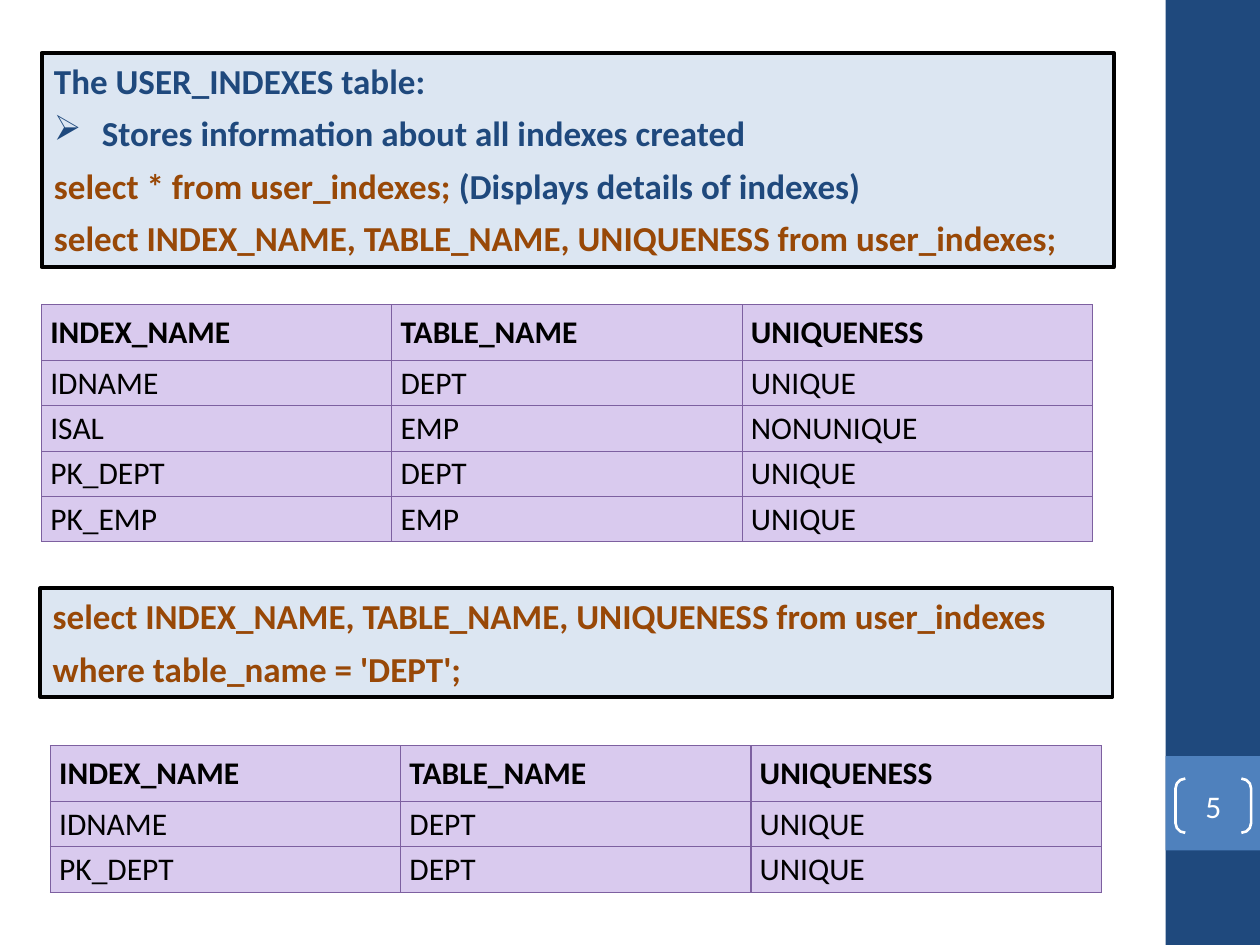
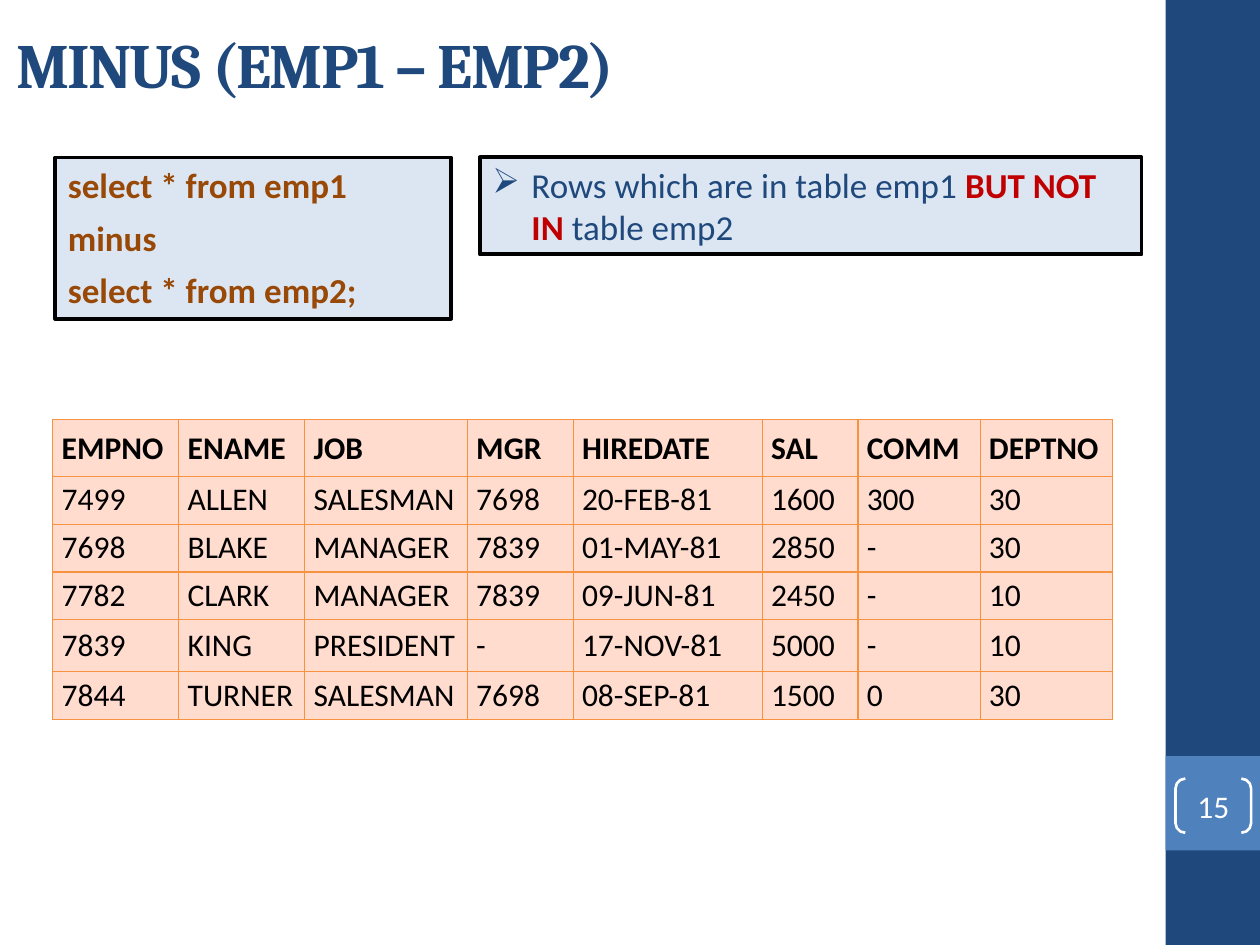
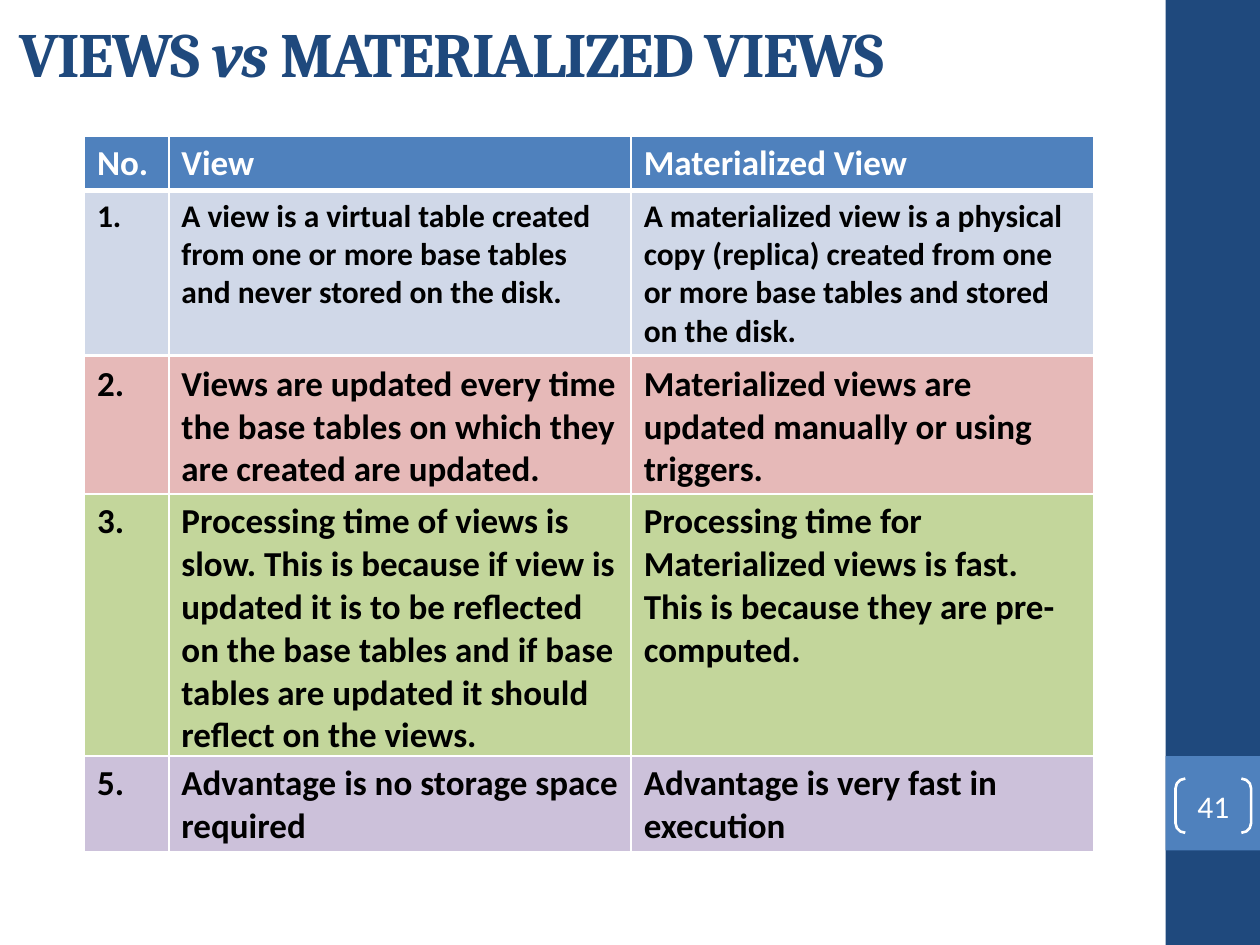
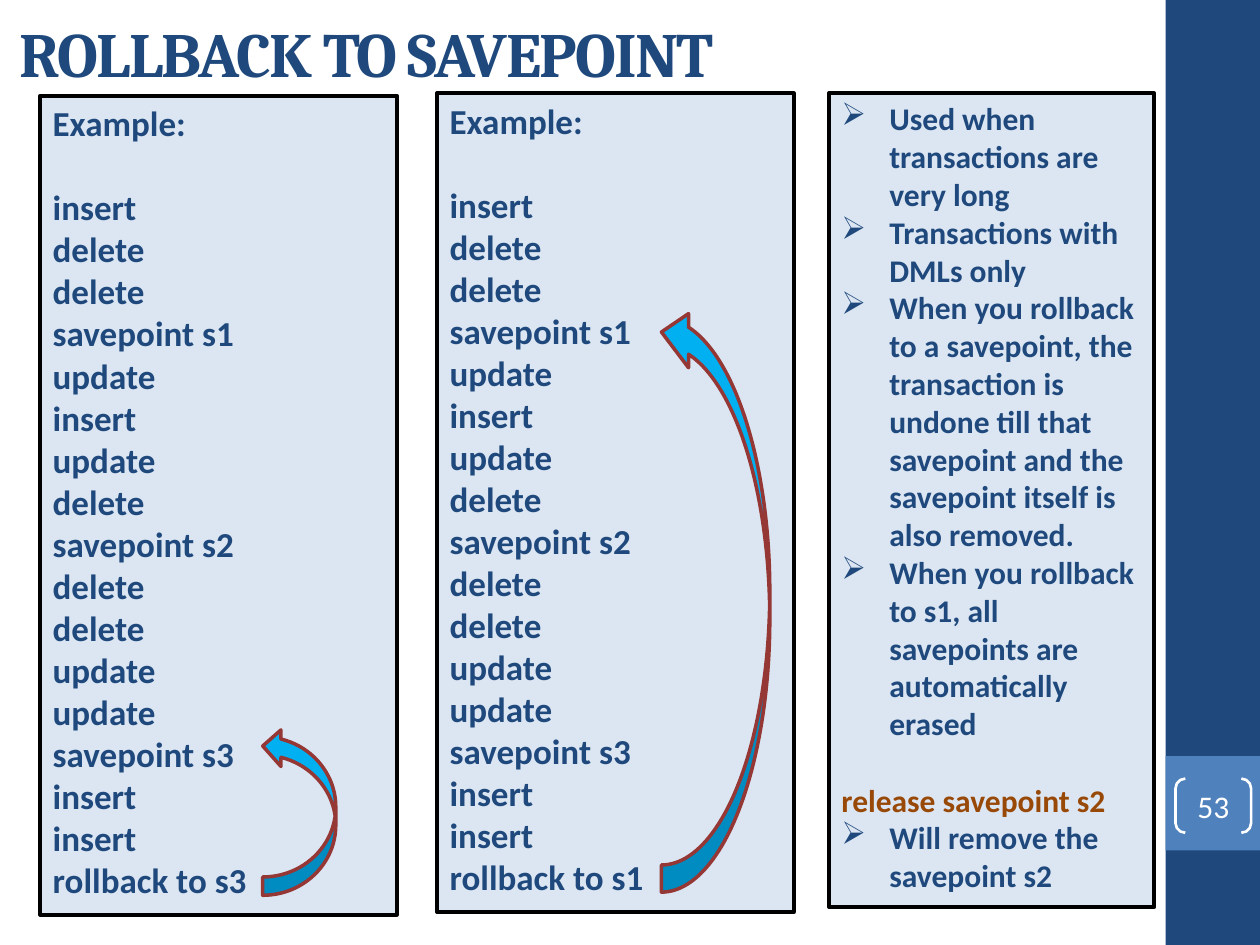
from dataclasses import dataclass, field

from lxml import etree
from pptx import Presentation
from pptx.dml.color import RGBColor
from pptx.enum.shapes import MSO_SHAPE as SHAPE
from pptx.enum.text import MSO_ANCHOR as ANCHOR, MSO_AUTO_SIZE as AUTO, PP_ALIGN as ALIGN
from pptx.oxml.ns import qn
from pptx.util import Inches, Pt


# Colours, fonts and type sizes
@dataclass(frozen=True)
class Theme:
    navy: str = "1F497D"
    blue: str = "4F81BD"
    pale: str = "DCE6F2"
    brown: str = "984807"
    red: str = "C00000"
    white: str = "FFFFFF"
    black: str = "000000"
    purple: str = "7D60A0"
    lilac: str = "D9CAEE"
    orange: str = "F69240"
    peach: str = "FFDCCE"
    ice: str = "D0D8E8"
    pink: str = "E6B9B8"
    green: str = "C3D69B"
    mauve: str = "CCC1DA"
    cyan: str = "00B0F0"
    maroon: str = "953735"
    heading: str = "Cambria"
    body: str = "Calibri"
    title_size: int = 36
    text_size: int = 20
    small_size: int = 18


T = Theme()


@dataclass
class Run:
    text: str
    style: dict = field(default_factory=dict)


@dataclass
class Para:
    runs: list
    color: str = T.navy
    bold: bool = True
    indent: float = 0
    before: float = 0


# Formatting helpers
def rgb(color):
    return RGBColor.from_string(color)


def set_font(font, name=None, size=None, color=None, bold=None, italic=None):
    if name:
        font.name = name
    if size:
        font.size = Pt(size)
    if color:
        font.color.rgb = rgb(color)
    if bold is not None:
        font.bold = bold
    if italic is not None:
        font.italic = italic


def set_margins(frame, left, top):
    frame.margin_left = frame.margin_right = Inches(left)
    frame.margin_top = frame.margin_bottom = Inches(top)


def set_borders(cell, color, widths):
    """Draw the left, right, top and bottom edges of a cell."""
    tc_pr = cell._tc.get_or_add_tcPr()
    for i, (side, width) in enumerate(zip("LRTB", widths)):
        ln = etree.Element(qn(f"a:ln{side}"), w=str(Pt(width)))
        fill = etree.SubElement(ln, qn("a:solidFill"))
        etree.SubElement(fill, qn("a:srgbClr"), val=color)
        tc_pr.insert(i, ln)


# Slide elements
class Deck:
    def __init__(self):
        self.prs = Presentation()
        self.prs.slide_width, self.prs.slide_height = Inches(10), Inches(7.5)
        self.s = None

    def slide(self, number, title=None, at=(0.06, 0.08, 8.95, 0.67)):
        self.s = self.prs.slides.add_slide(self.prs.slide_layouts[6])
        self.shape(SHAPE.RECTANGLE, (9.25, 0, 0.75, 7.5), T.navy)
        self.shape(SHAPE.RECTANGLE, (9.25, 6, 0.75, 0.75), T.blue)
        sp = self.shape(SHAPE.DOUBLE_BRACKET, (9.33, 6.18, 0.6, 0.43), line=T.white, width=1.5)
        sp.adjustments[0] = 0.18
        tf = sp.text_frame
        set_margins(tf, 0, 0)
        tf.vertical_anchor = ANCHOR.MIDDLE
        p = tf.paragraphs[0]
        p.text, p.alignment = str(number), ALIGN.CENTER
        set_font(p.font, T.body, T.small_size, T.white)
        if title:
            self.title(title, at)

    def title(self, runs, at):
        tf = self.s.shapes.add_textbox(*map(Inches, at)).text_frame
        tf.word_wrap, tf.vertical_anchor = True, ANCHOR.MIDDLE
        p = tf.paragraphs[0]
        set_font(p.font, T.heading, T.title_size, T.navy, True)
        self.add_runs(p, runs)
        for r in p.runs:
            r._r.get_or_add_rPr().set("spc", "-100")

    def add_runs(self, p, runs):
        for run in runs:
            r = p.add_run()
            r.text = run.text
            set_font(r.font, **run.style)

    def shape(self, kind, at, fill=None, line=None, width=1.0, rotation=0):
        sp = self.s.shapes.add_shape(kind, *map(Inches, at))
        sp.shadow.inherit = False
        sp.rotation = rotation
        if fill:
            sp.fill.solid()
            sp.fill.fore_color.rgb = rgb(fill)
        else:
            sp.fill.background()
        if line:
            sp.line.color.rgb, sp.line.width = rgb(line), Pt(width)
        else:
            sp.line.fill.background()
        return sp

    def box(self, at, paras, size=T.text_size):
        sp = self.shape(SHAPE.RECTANGLE, at, T.pale, T.black, 2.25)
        tf = sp.text_frame
        tf.word_wrap, tf.vertical_anchor = True, ANCHOR.TOP
        tf.auto_size = AUTO.SHAPE_TO_FIT_TEXT
        for i, para in enumerate(paras):
            p = tf.add_paragraph() if i else tf.paragraphs[0]
            p.alignment = ALIGN.LEFT
            if para.indent:
                self.bullet(p, para.indent)
            if i and para.before:
                p.space_before = Pt(para.before)
            set_font(p.font, T.body, size, para.color, para.bold)
            self.add_runs(p, para.runs)

    def bullet(self, p, indent):
        p_pr = p._p.get_or_add_pPr()
        p_pr.set("marL", str(Inches(indent)))
        p_pr.set("indent", str(-Inches(indent)))
        etree.SubElement(p_pr, qn("a:buChar"), char="➢")

    def arrow(self, at):
        self.shape(SHAPE.CURVED_UP_ARROW, at, T.cyan, T.maroon, 2, rotation=270)

    def table(self, left, top, cols, heights, rows, style):
        """style(row) gives fill, font, border colour, border widths, margins and anchor."""
        frame = self.s.shapes.add_table(len(rows), len(cols), Inches(left), Inches(top),
                                        Inches(sum(cols)), Inches(sum(heights)))
        tbl = frame.table
        tbl.first_row = tbl.horz_banding = False
        for col, width in zip(tbl.columns, cols):
            col.width = Inches(width)
        for i, (row, height, texts) in enumerate(zip(tbl.rows, heights, rows)):
            row.height = Inches(height)
            fill, font, edge, widths, margins, anchor = style(i)
            for cell, text in zip(row.cells, texts):
                cell.text = text
                cell.fill.solid()
                cell.fill.fore_color.rgb = rgb(fill)
                cell.vertical_anchor = anchor
                set_margins(cell, *margins)
                set_borders(cell, edge, widths)
                set_font(cell.text_frame.paragraphs[0].font, T.body, **font)

    def result(self, left, top, cols, heights, rows, fill, edge):
        """Query output: a bold heading row over plain rows."""
        def style(i):
            font = dict(size=T.small_size, color=T.black, bold=i == 0)
            return (fill, font, edge, [0.75] * 4, (0.07, 0.03 if i else 0.07),
                    ANCHOR.MIDDLE if i else ANCHOR.BOTTOM)
        self.table(left, top, cols, heights, rows, style)

    def comparison(self, top, heights, rows, looks):
        """Part of the comparison; looks holds fill, text colour and size by row."""
        def style(i):
            fill, color, size = looks[i]
            return (fill, dict(size=size, color=color, bold=True), T.white,
                    (1, 1, 1, 1 if i else 3), (0.1, 0.05), ANCHOR.TOP)
        self.table(0.67, top, (0.67, 3.67, 3.67), heights, rows, style)


def code(text, before=6):
    return Para([Run(text)], T.brown, before=before)


def note(text, indent=0, before=0):
    return Para([Run(text)], indent=indent, before=before)


# Slides
def index_slide(d):
    d.slide(5)
    query = "select INDEX_NAME, TABLE_NAME, UNIQUENESS from user_indexes"
    d.box((0.33, 0.42, 8.51, 1.7), [
        note("The USER_INDEXES table:"),
        note("Stores information about all indexes created", 0.38, 6),
        Para([Run("select * from user_indexes; ", dict(color=T.brown)),
              Run("(Displays details of indexes)")], before=6),
        code(query + ";"),
    ])
    d.box((0.32, 4.67, 8.51, 0.86), [code(query), code("where table_name = 'DEPT';")])

    header = ("INDEX_NAME", "TABLE_NAME", "UNIQUENESS")
    indexes = [("IDNAME", "DEPT", "UNIQUE"), ("ISAL", "EMP", "NONUNIQUE"),
               ("PK_DEPT", "DEPT", "UNIQUE"), ("PK_EMP", "EMP", "UNIQUE")]
    in_dept = [row for row in indexes if row[1] == "DEPT"]
    for left, top, rows in ((0.33, 2.42, indexes), (0.4, 5.92, in_dept)):
        d.result(left, top, [2.78] * 3, [0.43] + [0.36] * len(rows), [header] + rows,
                 T.lilac, T.purple)


def minus_slide(d):
    d.slide(15, [Run("MINUS (EMP1 – EMP2)")], (0.03, 0.17, 8.33, 0.67))
    d.box((0.44, 1.25, 3.14, 1.28),
          [code("select * from emp1"), code("minus"), code("select * from emp2;")])
    d.box((3.81, 1.25, 5.25, 0.77), [
        Para([Run("Rows which are in table emp1 "),
              Run("BUT NOT IN", dict(color=T.red, bold=True)),
              Run(" table emp2")], bold=False, indent=0.31)])
    employees = [
        ("EMPNO", "ENAME", "JOB", "MGR", "HIREDATE", "SAL", "COMM", "DEPTNO"),
        ("7499", "ALLEN", "SALESMAN", "7698", "20-FEB-81", "1600", "300", "30"),
        ("7698", "BLAKE", "MANAGER", "7839", "01-MAY-81", "2850", "-", "30"),
        ("7782", "CLARK", "MANAGER", "7839", "09-JUN-81", "2450", "-", "10"),
        ("7839", "KING", "PRESIDENT", "-", "17-NOV-81", "5000", "-", "10"),
        ("7844", "TURNER", "SALESMAN", "7698", "08-SEP-81", "1500", "0", "30"),
    ]
    d.result(0.42, 3.33, (1, 1, 1.29, 0.84, 1.5, 0.76, 0.97, 1.05),
             (0.45, 0.38, 0.38, 0.38, 0.41, 0.38), employees, T.peach, T.orange)


def views_slide(d):
    d.slide(41, [Run("VIEWS "), Run("vs", dict(italic=True)), Run(" MATERIALIZED VIEWS")])
    d.comparison(1.08, (0.43, 1.3), [
        ("No.", "View", "Materialized View"),
        ("1.", "A view is a virtual table created from one or more base tables and never "
               "stored on the disk.",
         "A materialized view is a physical copy (replica) created from one or more base "
         "tables and stored on the disk."),
    ], [(T.blue, T.white, T.text_size), (T.ice, T.black, T.small_size)])
    points = [
        (2.83, 1.1, T.pink, "2.",
         "Views are updated every time the base tables on which they are created are updated.",
         "Materialized views are updated manually or using triggers."),
        (3.92, 2.1, T.green, "3.",
         "Processing time of views is slow. This is because if view is updated it is to be "
         "reflected on the base tables and if base tables are updated it should reflect on "
         "the views.",
         "Processing time for Materialized views is fast. This is because they are "
         "pre-computed."),
        (6, 0.77, T.mauve, "5.",
         "Advantage is no storage space required",
         "Advantage is very fast in execution"),
    ]
    for top, height, fill, *texts in points:
        d.comparison(top, [height], [texts], [(fill, T.black, T.text_size)])


def rollback_slide(d):
    d.slide(53, [Run("ROLLBACK TO SAVEPOINT")])
    steps = ("insert", "delete", "delete", "savepoint s1", "update", "insert", "update",
             "delete", "savepoint s2", "delete", "delete", "update", "update",
             "savepoint s3", "insert", "insert")
    examples = [(0.32, 0.76, "s3", (1.71, 6.15, 1.33, 0.58)),
                (3.47, 0.74, "s1", (3.35, 4.32, 4.66, 0.86))]
    for left, top, target, arrow in examples:
        lines = [note(step, before=0 if i else 24) for i, step in enumerate(steps)]
        d.box((left, top, 2.83, 6.5),
              [note("Example:"), *lines, note(f"rollback to {target}")])
        d.arrow(arrow)

    facts = ("Used when transactions are very long",
             "Transactions with DMLs only",
             "When you rollback to a savepoint, the transaction is undone till that savepoint "
             "and the savepoint itself is also removed.",
             "When you rollback to s1, all savepoints are automatically erased")
    d.box((6.58, 0.74, 2.58, 6.46),
          [*(note(fact, 0.38) for fact in facts),
           code("release savepoint s2", 22),
           note("Will remove the savepoint s2", 0.38)], T.small_size)


def main():
    d = Deck()
    for build in (index_slide, minus_slide, views_slide, rollback_slide):
        build(d)
    d.prs.save("out.pptx")


if __name__ == "__main__":
    main()
